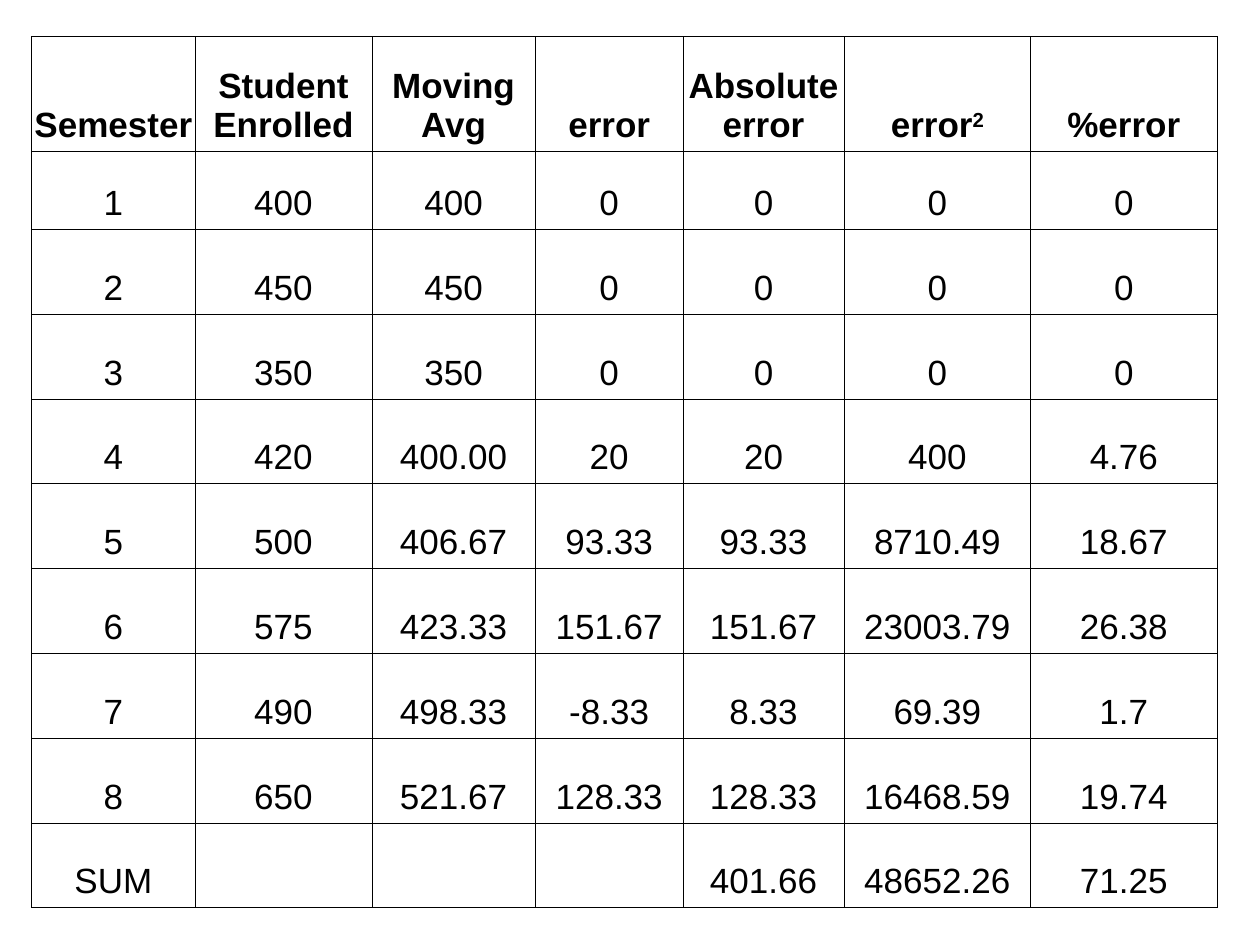
from dataclasses import dataclass
from typing import NamedTuple

import lxml.etree
import pptx
import pptx.dml.color
import pptx.enum.text
import pptx.oxml.ns
import pptx.table
import pptx.util
from pptx.util import Inches


@dataclass(frozen=True)
class Theme:
    font: str = "Arial"
    size: pptx.util.Pt = pptx.util.Pt(20)
    ink: str = "000000"
    paper: str = "FFFFFF"
    border: pptx.util.Pt = pptx.util.Pt(0.23)
    side_margin: pptx.util.Inches = Inches(0.01)
    end_margin: pptx.util.Inches = Inches(0.05)


class Column(NamedTuple):
    heading: str
    width: float
    superscript: str = ""


THEME = Theme()
LEFT, TOP = 0.25, 0.29
HEADING_HEIGHT, FIRST_HEIGHT, ROW_HEIGHT = 0.91, 0.62, 0.673

COLUMNS = [
    Column("Semester", 1.3),
    Column("Student Enrolled", 1.4),
    Column("Moving Avg", 1.3),
    Column("error", 1.17),
    Column("Absolute error", 1.28),
    Column("error", 1.48, superscript="2"),
    Column("%error", 1.48),
]
FORECASTS = [
    ("1", "400", "400", "0", "0", "0", "0"),
    ("2", "450", "450", "0", "0", "0", "0"),
    ("3", "350", "350", "0", "0", "0", "0"),
    ("4", "420", "400.00", "20", "20", "400", "4.76"),
    ("5", "500", "406.67", "93.33", "93.33", "8710.49", "18.67"),
    ("6", "575", "423.33", "151.67", "151.67", "23003.79", "26.38"),
    ("7", "490", "498.33", "-8.33", "8.33", "69.39", "1.7"),
    ("8", "650", "521.67", "128.33", "128.33", "16468.59", "19.74"),
    ("SUM", "", "", "", "401.66", "48652.26", "71.25"),
]


def draw_borders(cell: pptx.table._Cell) -> None:
    qn = pptx.oxml.ns.qn
    properties = cell._tc.get_or_add_tcPr()
    for side in ("a:lnL", "a:lnR", "a:lnT", "a:lnB"):
        line = lxml.etree.SubElement(properties, qn(side), w=str(int(THEME.border)))
        fill = lxml.etree.SubElement(line, qn("a:solidFill"))
        lxml.etree.SubElement(fill, qn("a:srgbClr"), val=THEME.ink)


def fill_cell(
    cell: pptx.table._Cell, text: str, bold: bool = False, superscript: str = ""
) -> None:
    draw_borders(cell)
    cell.fill.solid()
    cell.fill.fore_color.rgb = pptx.dml.color.RGBColor.from_string(THEME.paper)
    cell.vertical_anchor = pptx.enum.text.MSO_ANCHOR.BOTTOM
    cell.margin_left = cell.margin_right = THEME.side_margin
    cell.margin_top = cell.margin_bottom = THEME.end_margin

    paragraph = cell.text_frame.paragraphs[0]
    paragraph.alignment = pptx.enum.text.PP_ALIGN.CENTER
    paragraph.font.name = THEME.font
    paragraph.font.size = THEME.size
    paragraph.font.bold = bold
    paragraph.font.color.rgb = pptx.dml.color.RGBColor.from_string(THEME.ink)
    if text:
        paragraph.add_run().text = text
    if superscript:
        exponent = paragraph.add_run()
        exponent.text = superscript
        exponent._r.get_or_add_rPr().set("baseline", "30000")


def main() -> None:
    presentation = pptx.Presentation()
    presentation.slide_width, presentation.slide_height = Inches(10), Inches(7.5)
    slide = presentation.slides.add_slide(presentation.slide_layouts[6])

    heights = [HEADING_HEIGHT, FIRST_HEIGHT] + [ROW_HEIGHT] * (len(FORECASTS) - 1)
    table = slide.shapes.add_table(
        len(heights),
        len(COLUMNS),
        Inches(LEFT),
        Inches(TOP),
        Inches(sum(column.width for column in COLUMNS)),
        Inches(sum(heights)),
    ).table
    table.first_row = table.horz_banding = False

    for row, height in zip(table.rows, heights):
        row.height = Inches(height)
    for index, column in enumerate(COLUMNS):
        table.columns[index].width = Inches(column.width)
        fill_cell(table.cell(0, index), column.heading, True, column.superscript)
    for row_index, forecast in enumerate(FORECASTS, start=1):
        for index, value in enumerate(forecast):
            fill_cell(table.cell(row_index, index), value)

    presentation.save("out.pptx")


if __name__ == "__main__":
    main()
